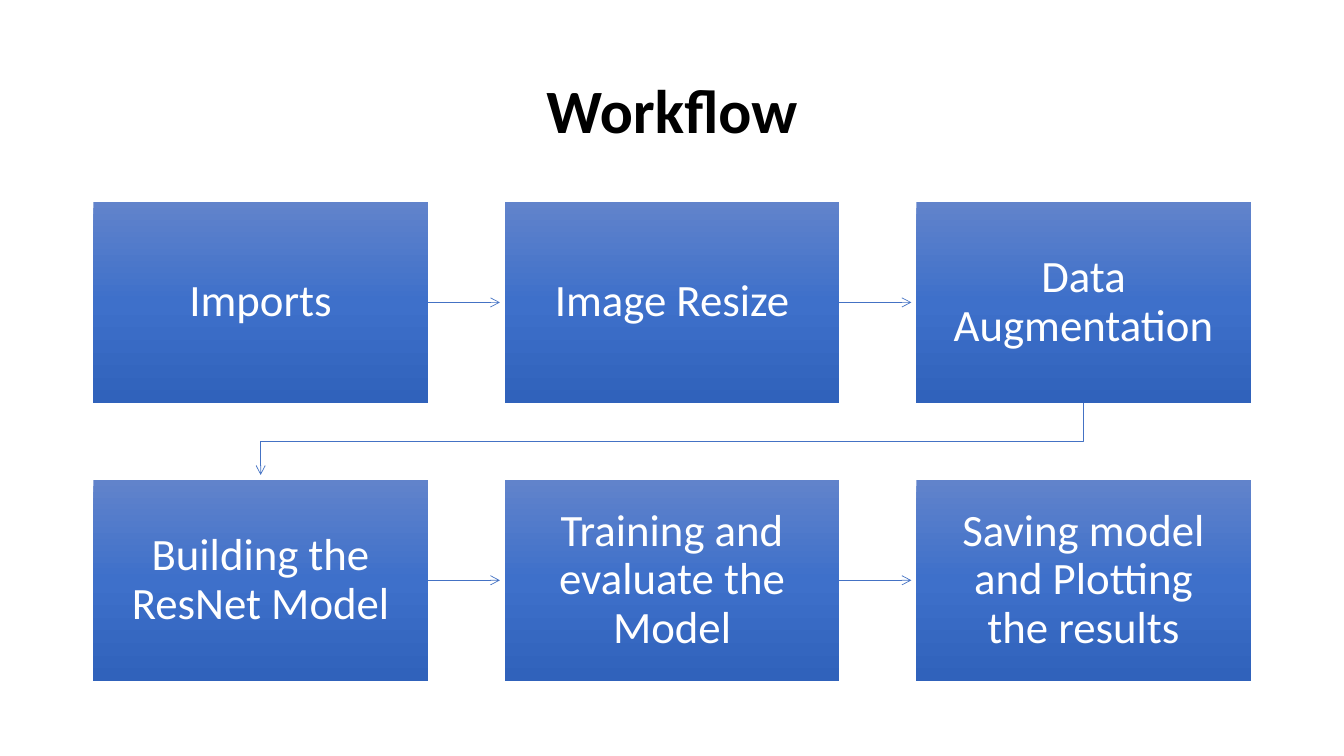
from copy import deepcopy

from lxml import etree
from pptx import Presentation
from pptx.dml.color import RGBColor
from pptx.enum.shapes import MSO_CONNECTOR, MSO_SHAPE
from pptx.enum.text import MSO_ANCHOR, PP_ALIGN
from pptx.oxml.ns import qn
from pptx.util import Pt

STRAIGHT = MSO_CONNECTOR.STRAIGHT
RECTANGLE = MSO_SHAPE.RECTANGLE
MIDDLE = MSO_ANCHOR.MIDDLE
CENTER = PP_ALIGN.CENTER

COLORS = {
    "title": "000000",
    "step_text": "FFFFFF",
    "arrow": "4472C4",
    "step_top": "6183CB",
    "step_middle": "3E70CA",
    "step_bottom": "3062BB",
}
FONT = "Calibri"
COLUMNS = 3
ARROW_GAP = 3.5
STEPS = [
    "Imports",
    "Image Resize",
    "Data Augmentation",
    "Building the ResNet Model",
    "Training and evaluate the Model",
    "Saving model and Plotting the results",
]


def color(name):
    return RGBColor.from_string(COLORS[name])


def write(shape, text, size, color_name, inset_x, inset_y, bold=False):
    frame = shape.text_frame
    frame.word_wrap = True
    frame.vertical_anchor = MIDDLE
    frame.margin_left = frame.margin_right = Pt(inset_x)
    frame.margin_top = frame.margin_bottom = Pt(inset_y)
    paragraph = frame.paragraphs[0]
    paragraph.text = text
    paragraph.alignment = CENTER
    paragraph.line_spacing = 0.9
    font = paragraph.font
    font.name, font.size, font.bold = FONT, Pt(size), bold
    font.color.rgb = color(color_name)


def add_title(slide, left, top, width, height):
    title = slide.shapes.add_textbox(Pt(left), Pt(top), Pt(width), Pt(height))
    write(title, "Workflow", 44, "title", 7.2, 3.6, bold=True)


def fill_step(step):
    step.fill.gradient()
    step.fill.gradient_angle = 270
    first = step.fill._fill.gradient_stops[0]._gs
    first.addnext(deepcopy(first))
    names = ("step_top", "step_middle", "step_bottom")
    for index, name in enumerate(names):
        stop = step.fill.gradient_stops[index]
        stop.position = index / 2
        stop.color.rgb = color(name)


def add_step(slide, text, left, top, width, height):
    step = slide.shapes.add_shape(RECTANGLE, Pt(left), Pt(top), Pt(width), Pt(height))
    step.shadow.inherit = False
    step.line.fill.background()
    fill_step(step)
    write(step, text, 32, "step_text", 18, 18)


def style_arrow(arrow):
    arrow.line.color.rgb = color("arrow")
    arrow.line.width = Pt(0.5)
    etree.SubElement(arrow.line._get_or_add_ln(), qn("a:tailEnd"), type="arrow")


def add_arrow(slide, start_x, end_x, y):
    arrow = slide.shapes.add_connector(STRAIGHT, Pt(start_x), Pt(y), Pt(end_x), Pt(y))
    style_arrow(arrow)
    etree.SubElement(arrow._element.spPr, qn("a:effectLst"))


def add_row_return(slide, start_x, start_y, end_x, end_y, turn_y):
    builder = slide.shapes.build_freeform(Pt(start_x), Pt(start_y))
    corners = [(start_x, turn_y), (end_x, turn_y), (end_x, end_y)]
    builder.add_line_segments([(Pt(x), Pt(y)) for x, y in corners], close=False)
    row_return = builder.convert_to_shape()
    row_return.fill.background()
    style_arrow(row_return)
    row_return.shadow.inherit = False


def add_workflow(slide, left, top, width, height):
    step_width, step_height = 239, 143.4
    pitch_x = (width - step_width) / (COLUMNS - 1)
    pitch_y = height - step_height
    for index, text in enumerate(STEPS):
        row, column = divmod(index, COLUMNS)
        x, y = left + column * pitch_x, top + row * pitch_y
        add_step(slide, text, x, y, step_width, step_height)
        if column < COLUMNS - 1:
            add_arrow(slide, x + step_width, x + pitch_x - ARROW_GAP, y + step_height / 2)

    # Bent arrow from the end of the first row to the start of the second
    first_center = left + step_width / 2
    row_bottom, next_top = top + step_height, top + pitch_y
    add_row_return(slide, first_center + (COLUMNS - 1) * pitch_x, row_bottom,
                   first_center, next_top - ARROW_GAP, (row_bottom + next_top) / 2)


def main():
    prs = Presentation()
    prs.slide_width, prs.slide_height = Pt(960), Pt(540)
    slide = prs.slides.add_slide(prs.slide_layouts[6])
    add_title(slide, 66, 28.8, 828, 104.4)
    add_workflow(slide, 66.7, 144.3, 826.8, 341.9)
    prs.save("out.pptx")


if __name__ == "__main__":
    main()
